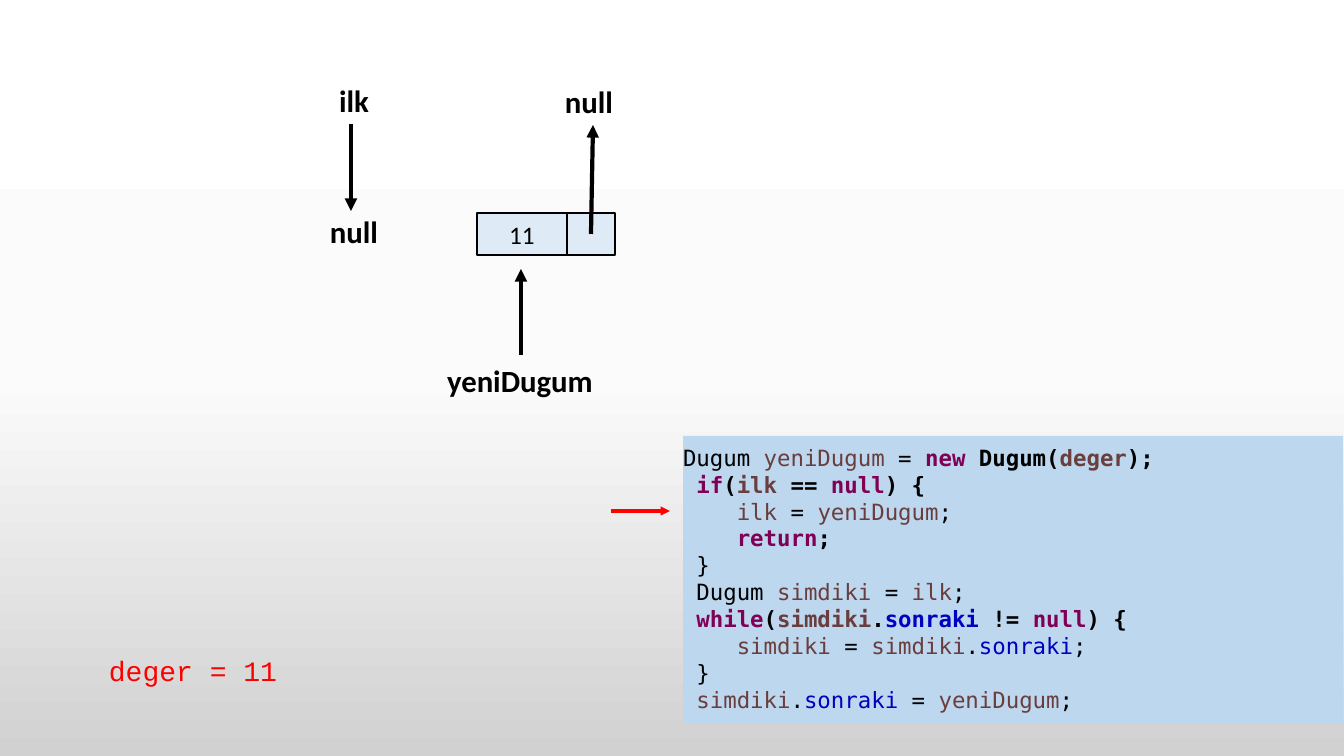
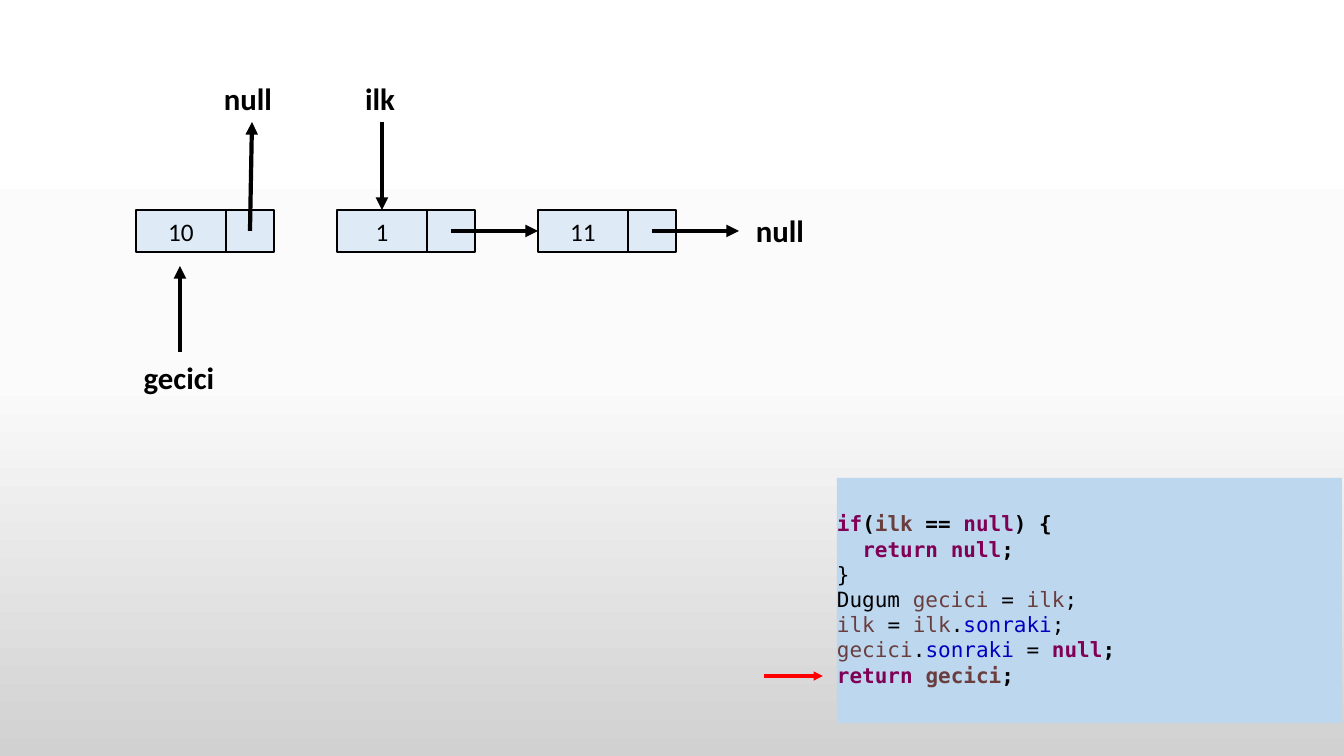
from copy import deepcopy
from itertools import groupby

from pptx import Presentation
from pptx.dml.color import RGBColor
from pptx.enum.shapes import MSO_CONNECTOR, MSO_SHAPE
from pptx.enum.text import MSO_ANCHOR, PP_ALIGN
from pptx.oxml.ns import qn
from pptx.oxml.xmlchemy import OxmlElement
from pptx.util import Pt

# Style
SCALE = 914400 / 100.8
SANS, MONO, TYPED = "Calibri", "DejaVu Sans Mono", "Courier New"
BLACK, RED = "000000", "FF0000"
CELL, PANEL = "DEEBF7", "BDD7EE"
KEY, NAME, FIELD = "7F0055", "6A3E3E", "0000C0"
SKY = [(0, "FFFFFF"), (0.5, "FBFBFB"), (1, "D1D1D1")]
WORDS = {"new": KEY, "if": KEY, "null": KEY, "return": KEY, "while": KEY,
         "sonraki": FIELD, "Dugum": BLACK}

# Node geometry
WIDE, SLIM, HIGH = 90, 48, 42

INSERT = """\
Dugum yeniDugum = new Dugum(deger);
 if(ilk == null) {
    ilk = yeniDugum;
    return;
 }
 Dugum simdiki = ilk;
 while(simdiki.sonraki != null) {
    simdiki = simdiki.sonraki;
 }
 simdiki.sonraki = yeniDugum;"""

REMOVE = """\
if(ilk == null) {
  return null;
}
Dugum gecici = ilk;
ilk = ilk.sonraki;
gecici.sonraki = null;
return gecici;"""


def px(n):
    return round(n * SCALE)


def rgb(tone):
    return RGBColor.from_string(tone)


class Deck:
    def __init__(self):
        self.prs = Presentation()
        self.prs.slide_width, self.prs.slide_height = px(1344), px(756)
        self.paint()

    def paint(self):
        """Give the master the shared three-stop gradient."""
        master = self.prs.slide_master
        fill = master.background.fill
        fill.gradient()
        fill.gradient_angle = 270
        stops = next(master.element.iter(qn("a:gsLst")))
        stops.append(deepcopy(stops[-1]))
        for stop, (spot, tone) in zip(fill.gradient_stops, SKY):
            stop.position = spot
            stop.color.rgb = rgb(tone)

    def page(self):
        self.slide = self.prs.slides.add_slide(self.prs.slide_layouts[6])

    def run(self, para, text, font, size, tone=BLACK, bold=False):
        run = para.add_run()
        run.text = text
        run.font.name, run.font.size, run.font.bold = font, Pt(size), bold
        run.font.color.rgb = rgb(tone)

    def text(self, x, y, w, h):
        frame = self.slide.shapes.add_textbox(px(x), px(y), px(w), px(h)).text_frame
        frame.word_wrap = True
        return frame.paragraphs[0]

    def label(self, mid, y, text):
        para = self.text(mid - 90, y, 180, 47)
        para.alignment = PP_ALIGN.CENTER
        self.run(para, text, SANS, 22, bold=True)

    def note(self, x, y, text):
        self.run(self.text(x, y, 190, 44), text, TYPED, 20, RED)

    def box(self, shapes, x, y, w, h, tone, edge=None):
        box = shapes.add_shape(MSO_SHAPE.RECTANGLE, px(x), px(y), px(w), px(h))
        box.shadow.inherit = False
        box.fill.solid()
        box.fill.fore_color.rgb = rgb(tone)
        if edge:
            box.line.color.rgb = rgb(edge)
            box.line.width = Pt(1)
        else:
            box.line.fill.background()
        return box

    def node(self, x, y, value):
        """Draw a value cell beside a pointer cell; return the value cell."""
        group = self.slide.shapes.add_group_shape().shapes
        cell = self.box(group, x, y, WIDE, HIGH, CELL, BLACK)
        self.box(group, x + WIDE, y, SLIM, HIGH, CELL, BLACK)
        frame = cell.text_frame
        frame.vertical_anchor = MSO_ANCHOR.MIDDLE
        frame.paragraphs[0].alignment = PP_ALIGN.CENTER
        self.run(frame.paragraphs[0], value, SANS, 18)
        return cell

    def arrow(self, x1, y1, x2, y2, tone=BLACK, width=3.0, goal=None, side=0):
        line = self.slide.shapes.add_connector(
            MSO_CONNECTOR.STRAIGHT, px(x1), px(y1), px(x2), px(y2))
        line.line.color.rgb = rgb(tone)
        line.line.width = Pt(width)
        tip = OxmlElement("a:tailEnd")
        tip.set("type", "triangle")
        props = line.element.spPr
        props.find(qn("a:ln")).append(tip)
        props.append(OxmlElement("a:effectLst"))
        if goal is not None:
            line.end_connect(goal, side)

    def lone(self, x, y, value, name):
        """Draw a named node whose pointer leads up to null."""
        self.node(x, y, value)
        self.arrow(x + 114, y + 21, x + 116, y - 88)
        self.label(x + 112, y - 135, "null")
        self.arrow(x + 44, y + 142, x + 44, y + 56)
        self.label(x + 43, y + 144, name)

    def code(self, x, y, w, h, text, size, top):
        """Colour words by kind; a line is bold from its first keyword on."""
        frame = self.box(self.slide.shapes, x, y, w, h, PANEL).text_frame
        frame.word_wrap = True
        frame.vertical_anchor = MSO_ANCHOR.TOP
        frame.margin_left = frame.margin_right = 0
        frame.margin_top, frame.margin_bottom = px(top), px(8)
        for i, row in enumerate(text.split("\n")):
            para = frame.add_paragraph() if i else frame.paragraphs[0]
            para.alignment = PP_ALIGN.LEFT
            bold = False
            for word, chars in groupby(row, str.isalpha):
                part = "".join(chars)
                tone = WORDS.get(part, NAME) if word else BLACK
                bold = bold or tone == KEY
                self.run(para, part, MONO, size, tone, bold)

    def mark(self, x, y):
        self.arrow(x, y, x + 59, y, RED, 2.25)


def main():
    deck = Deck()

    # Insert into an empty list
    deck.page()
    deck.code(683, 436, 660, 287, INSERT, 16, 8)
    deck.mark(611, 511)
    deck.note(99, 649, "deger = 11")
    deck.label(354, 77, "ilk")
    deck.arrow(351, 124, 351, 211)
    deck.label(354, 208, "null")
    deck.lone(477, 213, "11", "yeniDugum")

    # Remove the first node
    deck.page()
    top, step = 210, 201
    left = 136
    mid = top + HIGH // 2
    deck.lone(left, top, "10", "gecici")
    first = deck.node(left + step, top, "1")
    last = deck.node(left + 2 * step, top, "11")
    stem = left + step + WIDE // 2
    deck.label(stem - 2, 75, "ilk")
    deck.arrow(stem, 122, stem, top, goal=first, side=0)
    gap = WIDE + SLIM // 2
    deck.arrow(left + step + gap, mid, left + 2 * step, mid, goal=last, side=1)
    deck.arrow(left + 2 * step + gap, mid, left + 3 * step, mid)
    deck.label(780, 207, "null")
    deck.code(837, 478, 505, 245, REMOVE, 15, 33)
    deck.mark(764, 676)

    deck.prs.save("out.pptx")


if __name__ == "__main__":
    main()
